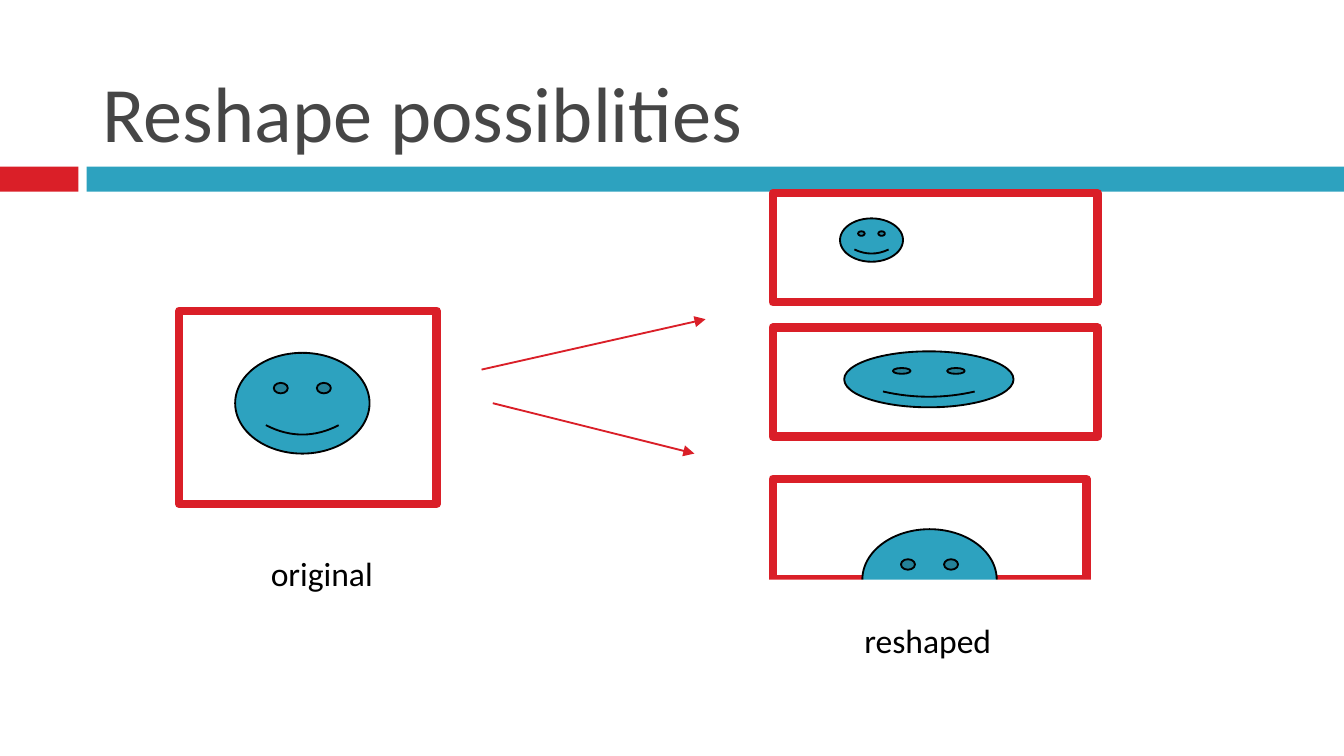
"""Build a slide showing an original face and three ways to reshape it."""
from lxml.etree import SubElement
from pptx import Presentation
from pptx.dml.color import RGBColor
from pptx.enum.shapes import MSO_CONNECTOR, MSO_SHAPE
from pptx.enum.text import MSO_ANCHOR
from pptx.oxml.ns import qn
from pptx.util import Pt

PX = 9525
RED = RGBColor(0xDA, 0x1F, 0x28)
TEAL = RGBColor(0x2D, 0xA2, 0xBF)
GRAY = RGBColor(0x46, 0x46, 0x46)
BLACK = RGBColor(0, 0, 0)
WHITE = RGBColor(255, 255, 255)

deck = Presentation()
deck.slide_width, deck.slide_height = 960 * PX, 540 * PX
page = deck.slides.add_slide(deck.slide_layouts[6])


def add_shape(kind, bounds, fill, line=None, weight=1):
    shape = page.shapes.add_shape(kind, *[n * PX for n in bounds])
    shape.shadow.inherit = False
    shape.fill.solid()
    shape.fill.fore_color.rgb = fill
    if line is None:
        shape.line.fill.background()
    else:
        shape.line.color.rgb = line
        shape.line.width = Pt(weight)


def add_text(text, bounds, size, color, anchor=MSO_ANCHOR.TOP, wrap=False):
    box = page.shapes.add_textbox(*[n * PX for n in bounds])
    frame = box.text_frame
    frame.word_wrap = wrap
    frame.vertical_anchor = anchor
    para = frame.paragraphs[0]
    para.text = text
    para.font.name = "Calibri"
    para.font.size = Pt(size)
    para.font.color.rgb = color


add_shape(MSO_SHAPE.RECTANGLE, (0, 119, 56, 18), RED)
add_shape(MSO_SHAPE.RECTANGLE, (62, 119, 898, 18), TEAL)
add_text("Reshape possiblities", (64, 12, 856, 106), 42, GRAY, MSO_ANCHOR.BOTTOM, True)

framed_faces = [
    ((128, 222, 184, 138), (168, 252, 96, 72)),
    ((552, 138, 232, 78), (600, 156, 45, 31)),
    ((552, 234, 232, 78), (603, 251, 121, 40)),
    ((552, 342, 224, 72), (616, 378, 96, 72)),
]
for frame_bounds, face_bounds in framed_faces:
    add_shape(MSO_SHAPE.RECTANGLE, frame_bounds, WHITE, RED, 4.5)
    add_shape(MSO_SHAPE.SMILEY_FACE, face_bounds, TEAL, BLACK)

add_shape(MSO_SHAPE.RECTANGLE, (512, 414, 320, 72), WHITE)

for ends in [(344, 264, 504, 228), (352, 288, 496, 324)]:
    arrow = page.shapes.add_connector(MSO_CONNECTOR.STRAIGHT, *[n * PX for n in ends])
    arrow.line.color.rgb = RED
    arrow.line.width = Pt(1)
    SubElement(arrow.line._get_or_add_ln(), qn("a:tailEnd"), type="triangle")
    SubElement(arrow._element.spPr, qn("a:effectLst"))

add_text("original", (184, 390, 93, 38), 18, BLACK)
add_text("reshaped", (608, 438, 110, 38), 18, BLACK)

deck.save("out.pptx")
